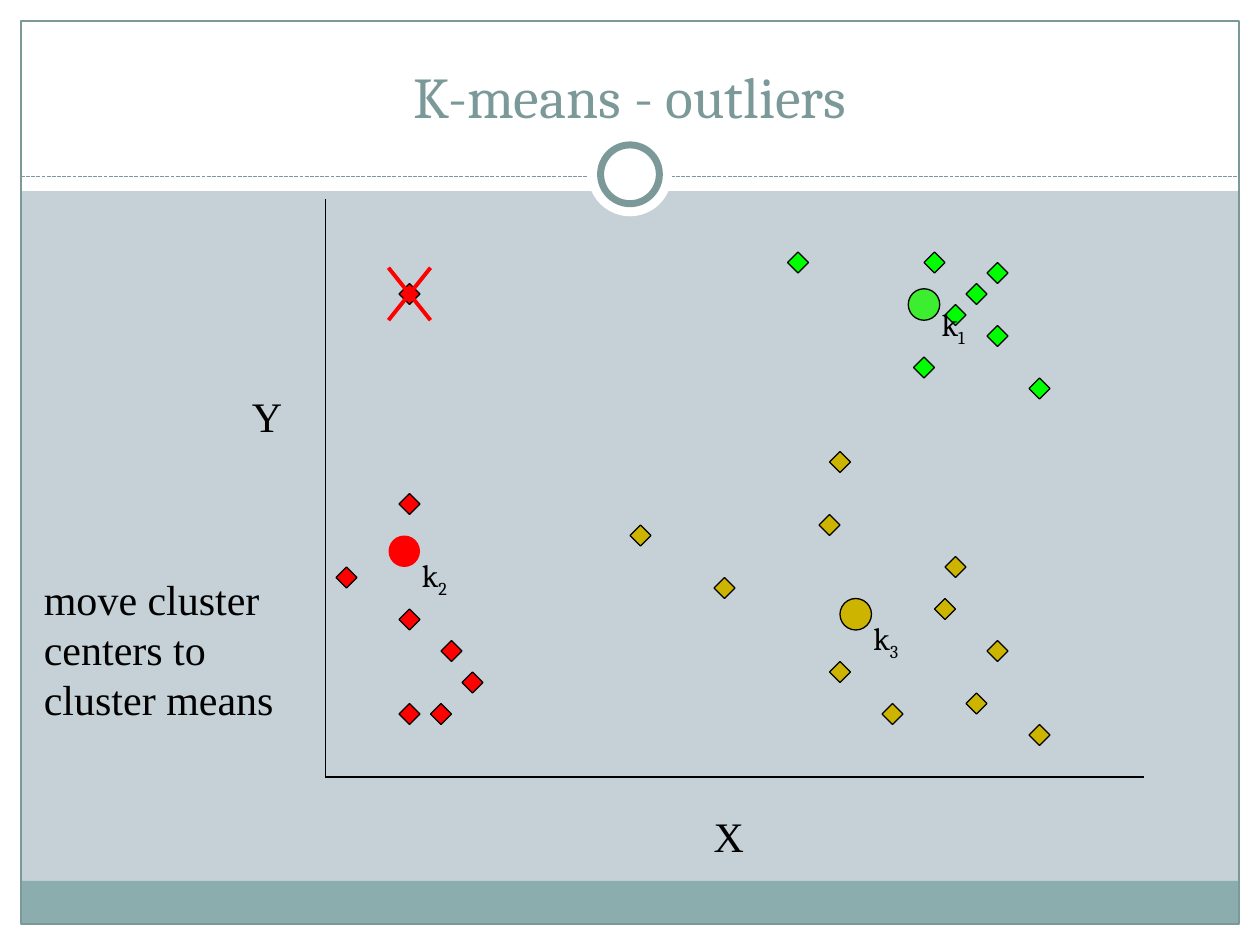
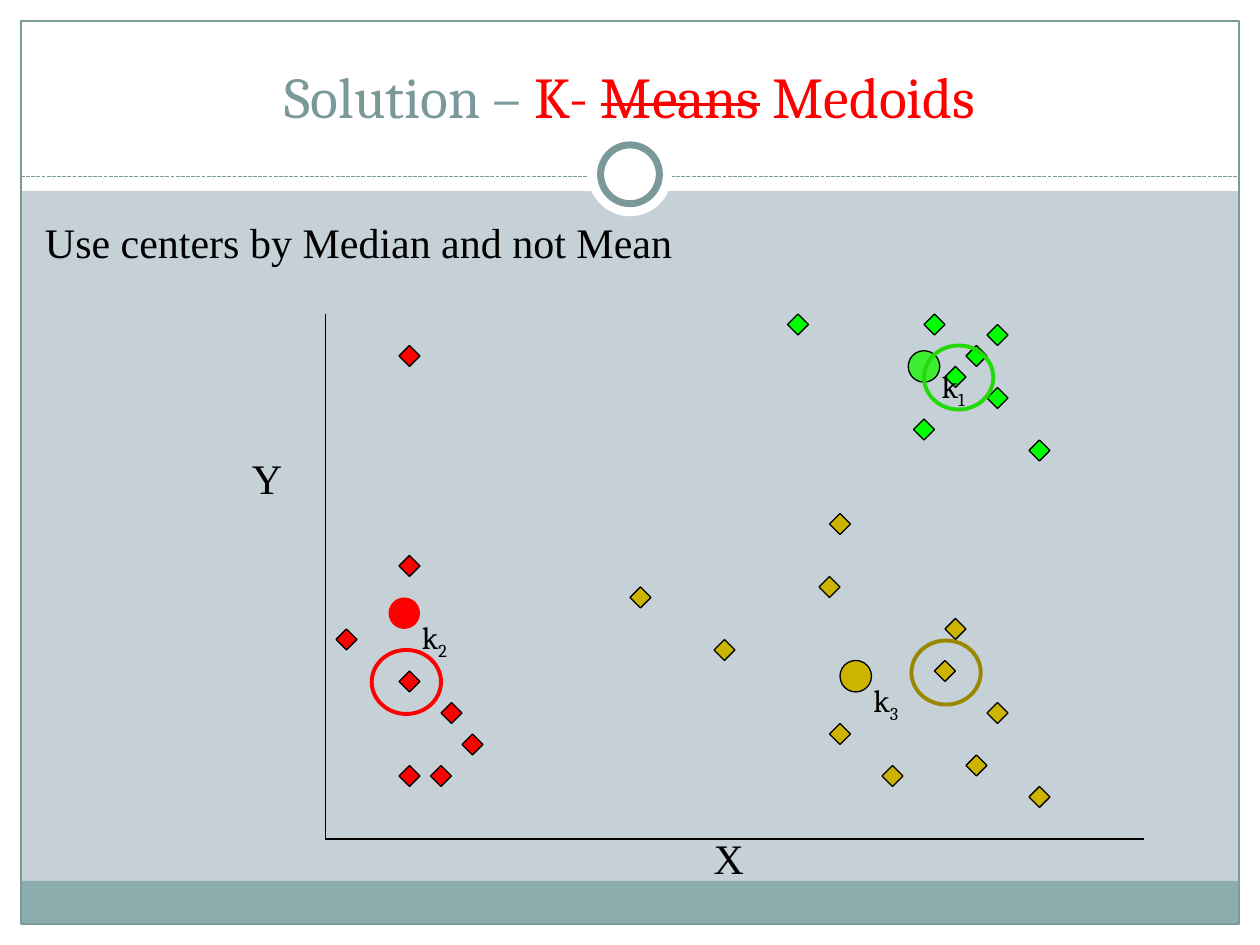
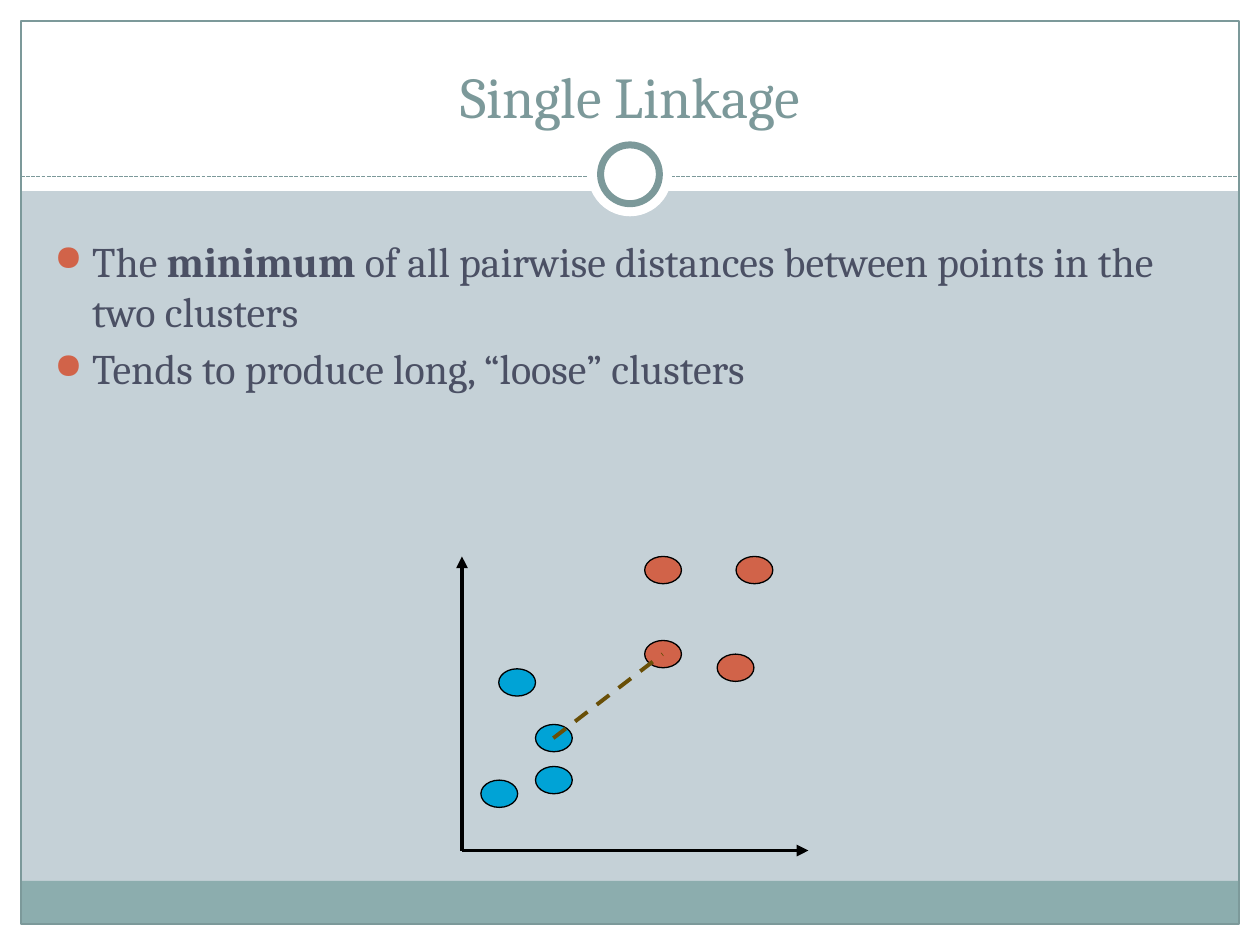
import pptx
import pptx.util
from lxml import etree
from pptx.dml.color import RGBColor
from pptx.enum.dml import MSO_LINE
from pptx.enum.shapes import MSO_CONNECTOR, MSO_SHAPE
from pptx.enum.text import MSO_ANCHOR, PP_ALIGN
from pptx.oxml.ns import qn

PX = 7620  # EMU, 120 px to the inch
SLIDE_W, SLIDE_H = 1200, 900
MARGIN = 20

BACKGROUND = RGBColor(0xC5, 0xD1, 0xD7)
WHITE = RGBColor(0xFF, 0xFF, 0xFF)
BLACK = RGBColor(0, 0, 0)
TEAL = RGBColor(0x7C, 0x99, 0x9A)
FOOTER = RGBColor(0x8C, 0xAD, 0xAE)
BODY = RGBColor(0x4B, 0x50, 0x64)
ORANGE = RGBColor(0xD1, 0x63, 0x49)
BLUE = RGBColor(0x00, 0xA3, 0xD6)
BROWN = RGBColor(0x69, 0x4F, 0x07)
RED = RGBColor(0xFF, 0, 0)
GREEN = RGBColor(0, 0xFF, 0)
GOLD = RGBColor(0xCC, 0xB4, 0)
CENTER_GREEN = RGBColor(0x3D, 0xED, 0x2F)
RING_GREEN = RGBColor(0x22, 0xD9, 0x09)
RING_GOLD = RGBColor(0x99, 0x87, 0)

SERIF = "Cambria"
TIMES = "Times New Roman"

# Cluster points in steps of 10 px, right and up from the origin of the axes
STEP = 10
OUTLIER = (8, 46)
CLUSTERS = {
    RED: [(12, 12), (14, 9), (11, 6), (8, 15), OUTLIER, (8, 26), (8, 6), (2, 19)],
    GOLD: [(30, 23), (49, 30), (49, 10), (54, 6), (59, 16), (48, 24), (38, 18),
           (64, 12), (62, 7), (60, 20), (68, 4)],
    GREEN: [(58, 49), (64, 48), (62, 46), (60, 44), (64, 42), (68, 37), (45, 49),
            (57, 39)],
}
# Number, px right and up from the origin, fill, outline, label anchor
CENTERS = [
    ("2", 75, 215, RED, None, MSO_ANCHOR.MIDDLE),
    ("3", 505, 155, GOLD, BLACK, MSO_ANCHOR.MIDDLE),
    ("1", 570, 450, CENTER_GREEN, BLACK, MSO_ANCHOR.TOP),
]
MEDOIDS = [(77, 150, RED), (591, 159, RING_GOLD), (603, 440, RING_GREEN)]

# Points of the linkage plot, px right and down from its top left corner
LINK = [(87, 173), (191, 93)]
LINKAGE_POINTS = {
    ORANGE: [(191, 13), (278, 13), (260, 106), LINK[1]],
    BLUE: [(52, 120), LINK[0], (87, 213), (35, 226)],
}


def emu(*lengths):
    return [pptx.util.Emu(n * PX) for n in lengths]


def add_shape(s, kind, box, fill=None, line=None, width=0.75):
    sp = s.shapes.add_shape(kind, *emu(*box))
    sp.shadow.inherit = False
    if fill is None:
        sp.fill.background()
    else:
        sp.fill.solid()
        sp.fill.fore_color.rgb = fill
    if line is None:
        sp.line.fill.background()
    else:
        sp.line.color.rgb = line
        sp.line.width = pptx.util.Pt(width)
    return sp


def add_centered(s, kind, x, y, w, h, *style):
    return add_shape(s, kind, (x - w // 2, y - h // 2, w, h), *style)


def add_line(s, start, end, color=BLACK, width=0.75, dash=None, arrow=False):
    sp = s.shapes.add_connector(MSO_CONNECTOR.STRAIGHT, *emu(*start, *end))
    sp.line.color.rgb = color
    sp.line.width = pptx.util.Pt(width)
    if dash is not None:
        sp.line.dash_style = dash
    if arrow:
        etree.SubElement(sp.line._get_or_add_ln(), qn("a:tailEnd"), type="triangle")
    etree.SubElement(sp._element.spPr, qn("a:effectLst"))


def add_text_box(s, box, anchor=MSO_ANCHOR.TOP, wrap=True):
    tf = s.shapes.add_textbox(*emu(*box)).text_frame
    tf.word_wrap = wrap
    tf.vertical_anchor = anchor
    return tf


def add_runs(p, runs, font, size, color):
    """Each run is a text and its own settings: color, bold, or rPr attributes."""
    for text, own in runs:
        r = p.add_run()
        r.text = text
        r.font.name = font
        r.font.size = pptx.util.Pt(size)
        r.font.color.rgb = own.get("color", color)
        r.font.bold = own.get("bold", False)
        for name in ("strike", "baseline"):
            if name in own:
                r._r.get_or_add_rPr().set(name, own[name])


def add_note(s, box, text, wrap=True):
    tf = add_text_box(s, box, wrap=wrap)
    add_runs(tf.paragraphs[0], [(text, {})], TIMES, 24, BLACK)


def add_themed_slide(prs, title_runs):
    s = prs.slides.add_slide(prs.slide_layouts[6])
    s.background.fill.solid()
    s.background.fill.fore_color.rgb = BACKGROUND
    rect, oval = MSO_SHAPE.RECTANGLE, MSO_SHAPE.OVAL
    inner_w, inner_h = SLIDE_W - 2 * MARGIN, SLIDE_H - 2 * MARGIN
    for box in [(0, SLIDE_H - MARGIN, SLIDE_W, MARGIN), (0, 0, SLIDE_W, 182),
                (0, 0, MARGIN, SLIDE_H), (SLIDE_W - MARGIN, 0, MARGIN, SLIDE_H)]:
        add_shape(s, rect, box, WHITE)
    add_shape(s, rect, (MARGIN, 839, inner_w, 41), FOOTER)
    add_shape(s, rect, (MARGIN, MARGIN, inner_w, inner_h), None, TEAL)
    add_line(s, (MARGIN, 168), (SLIDE_W - MARGIN, 168), TEAL, dash=MSO_LINE.SQUARE_DOT)
    add_centered(s, oval, SLIDE_W // 2, 166, 80, 80, WHITE)
    add_centered(s, oval, SLIDE_W // 2, 166, 56, 56, WHITE, TEAL, 4)
    p = add_text_box(s, (40, 30, 1120, 100), MSO_ANCHOR.BOTTOM).paragraphs[0]
    p.alignment = PP_ALIGN.CENTER
    add_runs(p, title_runs, SERIF, 33, TEAL)
    return s


def add_cluster_plot(s, box, x_label_gap):
    """Draw axes along the left and bottom of box, with points and cluster centers."""
    left, top, w, h = box
    bottom = top + h
    for color, points in CLUSTERS.items():
        for x, y in points:
            add_centered(s, MSO_SHAPE.DIAMOND, left + x * STEP, bottom - y * STEP,
                         20, 20, color, BLACK)
    add_line(s, (left, top), (left, bottom))
    add_line(s, (left, bottom), (left + w, bottom))
    add_note(s, (left + 358, bottom + x_label_gap, 53, 60), "X", wrap=False)
    add_note(s, (left - 82, bottom - 374, 53, 60), "Y", wrap=False)
    for number, dx, dy, fill, line, anchor in CENTERS:
        x, y = left + dx, bottom - dy
        add_centered(s, MSO_SHAPE.OVAL, x, y, 30, 30, fill, line)
        tf = add_text_box(s, (x + 5, y - 5, 70, 60), anchor)
        add_runs(tf.paragraphs[0], [("k", {}), (number, {"baseline": "-25000"})],
                 SERIF, 18, BLACK)


def add_cross(s, x, y):
    for dy in (-25, 25):
        add_line(s, (x - 20, y + dy), (x + 20, y - dy), RED, 2.25)


def add_bullets(s, box, items):
    tf = add_text_box(s, box)
    for i, runs in enumerate(items):
        p = tf.add_paragraph() if i else tf.paragraphs[0]
        pPr = p._p.get_or_add_pPr()
        pPr.set("marL", str(36 * PX))
        pPr.set("indent", str(-36 * PX))
        color = etree.SubElement(pPr, qn("a:buClr"))
        etree.SubElement(color, qn("a:srgbClr"), val=str(ORANGE))
        etree.SubElement(pPr, qn("a:buSzPct"), val="85000")
        etree.SubElement(pPr, qn("a:buChar"), char="●")
        if i:
            p.space_before = pptx.util.Pt(4)
        add_runs(p, runs, SERIF, 24, BODY)


def add_linkage_plot(s, box):
    left, top, w, h = box
    origin = (left, top + h)
    for end in [(left, top), (left + w, top + h)]:
        add_line(s, origin, end, width=2.25, arrow=True)
    for color, points in LINKAGE_POINTS.items():
        for x, y in points:
            add_centered(s, MSO_SHAPE.OVAL, left + x, top + y, 35, 26, color, BLACK)
    start, end = [(left + x, top + y) for x, y in LINK]
    add_line(s, start, end, BROWN, 2.25, MSO_LINE.DASH)


def build_outliers(prs):
    s = add_themed_slide(prs, [("K-means - outliers", {})])
    left, top, w, h = box = (310, 190, 780, 550)
    add_cluster_plot(s, box, 26)
    add_note(s, (30, 540, 250, 156), "move cluster centers to cluster means")
    add_cross(s, left + OUTLIER[0] * STEP, top + h - OUTLIER[1] * STEP)


def build_medoids(prs):
    red = {"color": RED}
    s = add_themed_slide(prs, [("Solution – ", {}), ("K- ", red),
                               ("Means", {"color": RED, "strike": "sngStrike"}),
                               (" ", {}), ("Medoids", red)])
    left, top, w, h = box = (310, 299, 780, 500)
    add_cluster_plot(s, box, -12)
    add_note(s, (31, 200, 690, 60), "Use centers by Median and not Mean")
    for x, y, color in MEDOIDS:
        add_centered(s, MSO_SHAPE.OVAL, left + x, top + h - y, 66, 61, None, color, 2.25)


def build_single_linkage(prs):
    s = add_themed_slide(prs, [("Single Linkage", {})])
    add_bullets(s, (40, 218, 1116, 600), [
        [("The ", {}), ("minimum", {"bold": True}),
         (" of all pairwise distances between points in the two clusters", {})],
        [("Tends to produce long, “loose” clusters", {})],
    ])
    add_linkage_plot(s, (440, 530, 330, 280))


def main():
    prs = pptx.Presentation()
    prs.slide_width, prs.slide_height = emu(SLIDE_W, SLIDE_H)
    build_outliers(prs)
    build_medoids(prs)
    build_single_linkage(prs)
    prs.save("out.pptx")


if __name__ == "__main__":
    main()
